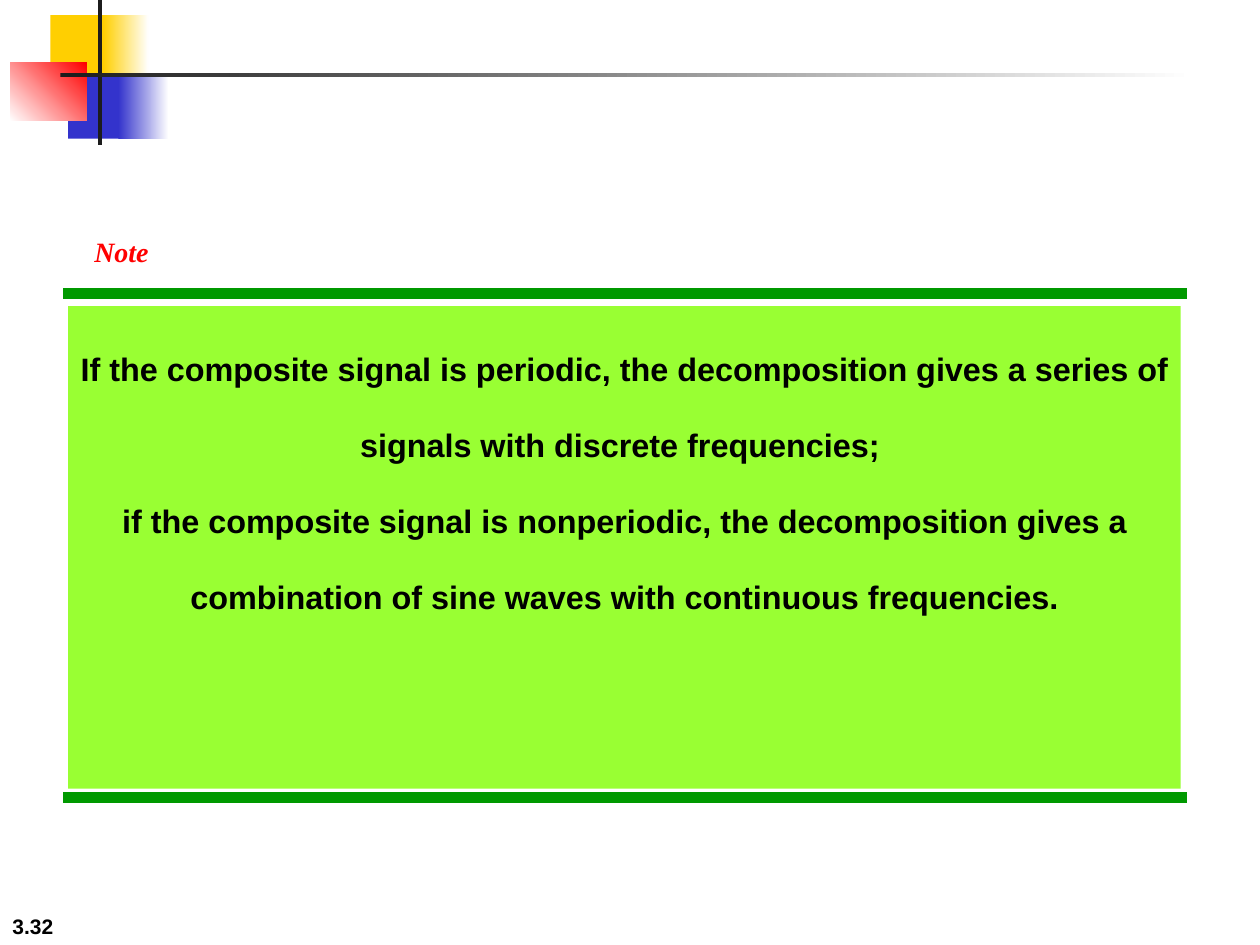
from dataclasses import dataclass

from lxml import etree
from pptx import Presentation
from pptx.dml.color import RGBColor
from pptx.enum import shapes, text
from pptx.oxml.ns import qn
from pptx.util import Inches, Pt


@dataclass
class Theme:
    yellow: str = "FFCF01"
    blue: str = "3333CC"
    red: str = "FF0000"
    charcoal: str = "1C1C1C"
    white: str = "FFFFFF"
    black: str = "000000"
    rule: str = "009900"
    panel: str = "99FF33"
    sans: str = "Arial"
    serif: str = "Times New Roman"
    number_size: float = 12
    note_size: float = 16
    body_size: float = 18.5
    rule_width: float = 6


theme = Theme()


def add_block(box, colours, angle=0):
    """Add a borderless rectangle; two colours make a gradient."""
    shape = slide.shapes.add_shape(
        shapes.MSO_SHAPE.RECTANGLE, *[Inches(value) for value in box]
    )
    shape.shadow.inherit = False
    shape.line.fill.background()
    if len(colours) == 1:
        shape.fill.solid()
        shape.fill.fore_color.rgb = RGBColor.from_string(colours[0])
    else:
        shape.fill.gradient()
        shape.fill.gradient_angle = angle
        for stop, colour in zip(shape.fill.gradient_stops, colours):
            stop.color.rgb = RGBColor.from_string(colour)
    return shape


def add_run(paragraph, wording, font_name, size, colour, italic=False):
    run = paragraph.add_run()
    run.text = wording
    run.font.name = font_name
    run.font.size = Pt(size)
    run.font.bold = True
    run.font.italic = italic
    run.font.color.rgb = RGBColor.from_string(colour)


presentation = Presentation()
presentation.slide_width = Inches(10)
presentation.slide_height = Inches(7.5)
slide = presentation.slides.add_slide(presentation.slide_layouts[6])

# Slide number
number = slide.shapes.add_textbox(Inches(0), Inches(7), Inches(2.08), Inches(0.5))
number.text_frame.word_wrap = True
number.text_frame.vertical_anchor = text.MSO_ANCHOR.BOTTOM
add_run(number.text_frame.paragraphs[0], "3.32",
        theme.sans, theme.number_size, theme.black)

# Corner ornament
for box, colours, angle in (
    ((0.4, 0.12, 0.48, 0.52), (theme.yellow,), 0),
    ((0.82, 0.12, 0.36, 0.52), (theme.yellow, theme.white), 0),
    ((0.54, 0.58, 0.46, 0.52), (theme.blue,), 0),
    ((0.94, 0.58, 0.4, 0.52), (theme.blue, theme.white), 0),
    ((0.08, 0.5, 0.61, 0.46), (theme.white, theme.red), 45),
    ((0.78, 0, 0.03, 1.15), (theme.charcoal,), 0),
    ((0.48, 0.58, 9, 0.03), (theme.charcoal, theme.white), 0),
):
    add_block(box, colours, angle)

# Rules above and below the panel
for y in (2.33, 6.33):
    rule = slide.shapes.add_connector(
        shapes.MSO_CONNECTOR.STRAIGHT, Inches(0.5), Inches(y), Inches(9.42), Inches(y)
    )
    rule.line.color.rgb = RGBColor.from_string(theme.rule)
    rule.line.width = Pt(theme.rule_width)
    properties = rule.element.find(qn("p:spPr"))
    etree.SubElement(properties, qn("a:effectLst"))

# Statement panel
panel = add_block((0.54, 2.43, 8.83, 3.83), (theme.panel,))
frame = panel.text_frame
frame.word_wrap = True
frame.vertical_anchor = text.MSO_ANCHOR.TOP
frame.margin_left = frame.margin_right = Inches(0.05)
paragraph = frame.paragraphs[0]
paragraph.alignment = text.PP_ALIGN.CENTER
paragraph.line_spacing = 1.95
statements = (
    "If the composite signal is periodic, the decomposition gives a series of "
    "signals with discrete frequencies; ",
    "if the composite signal is nonperiodic, the decomposition gives a "
    "combination of sine waves with continuous frequencies.",
)
for index, statement in enumerate(statements):
    if index:
        paragraph.add_line_break()
    add_run(paragraph, statement, theme.sans, theme.body_size, theme.black)

# Note label
note = slide.shapes.add_textbox(Inches(0.65), Inches(1.58), Inches(0.96), Inches(0.57))
note.text_frame.word_wrap = True
note.text_frame.vertical_anchor = text.MSO_ANCHOR.BOTTOM
note.text_frame.margin_bottom = Inches(0.02)
add_run(note.text_frame.paragraphs[0], "Note",
        theme.serif, theme.note_size, theme.red, italic=True)

presentation.save("out.pptx")
